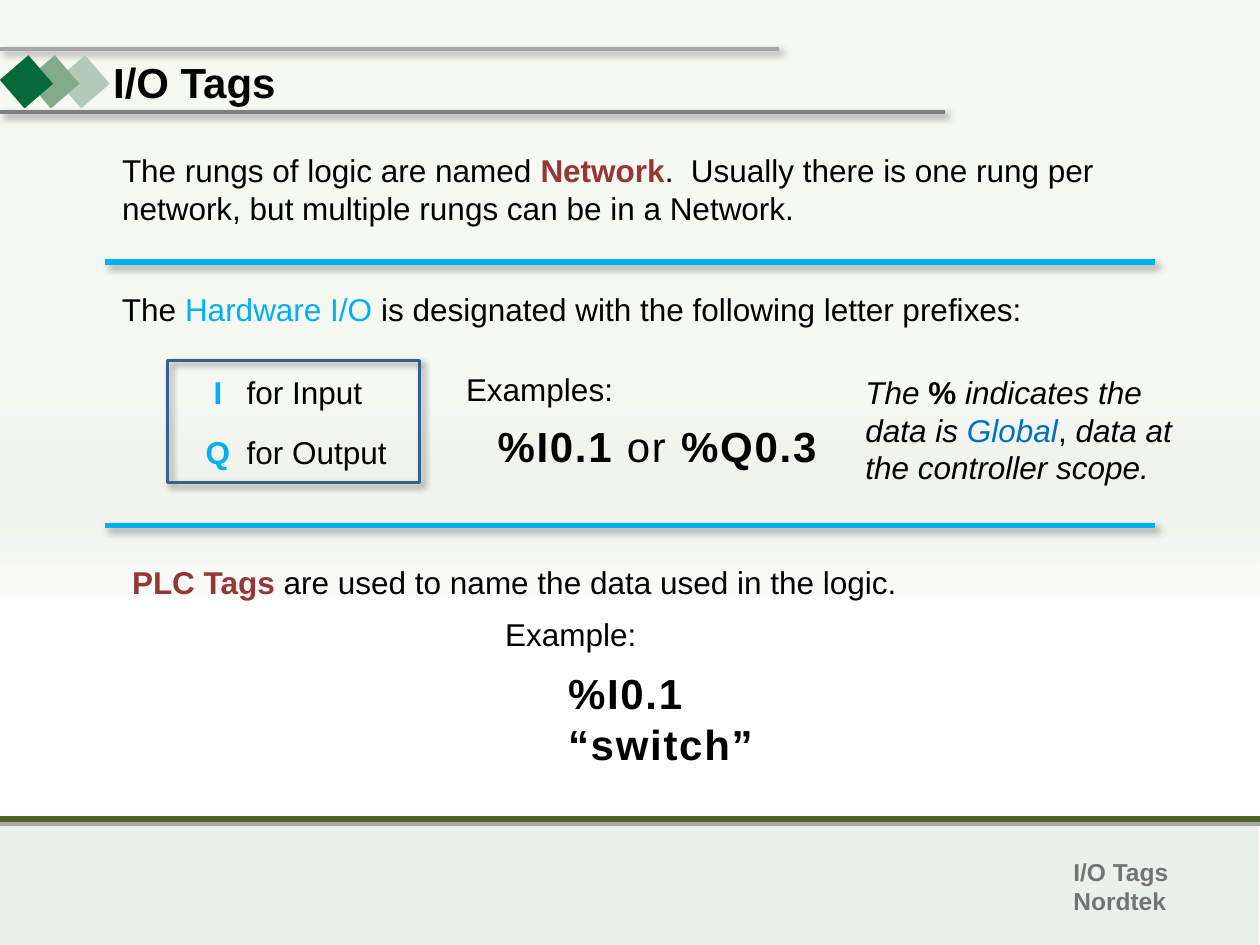
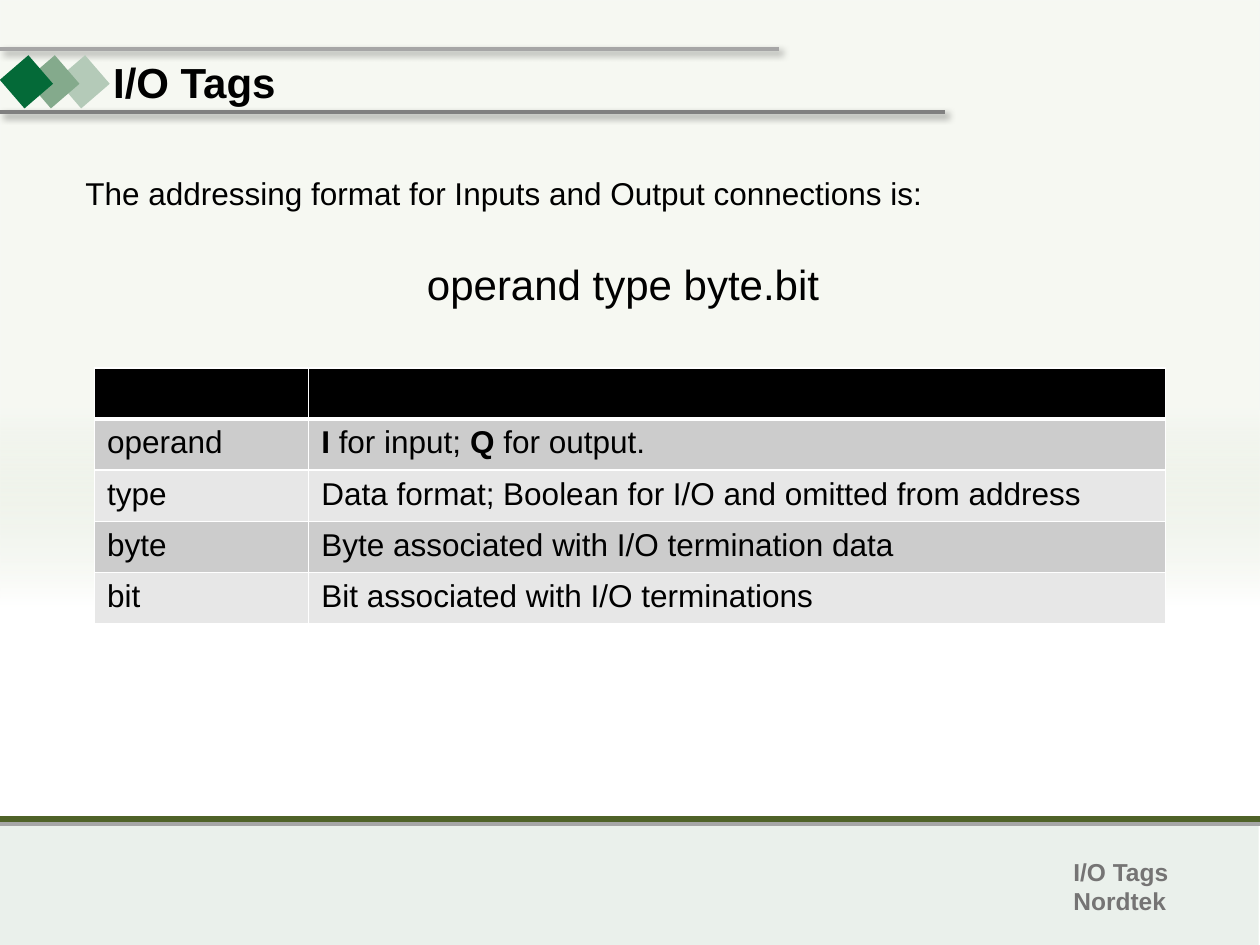
from collections import namedtuple

from lxml.etree import SubElement
from pptx import Presentation
from pptx.dml.color import RGBColor
from pptx.enum.shapes import MSO_CONNECTOR, MSO_SHAPE
from pptx.enum.text import MSO_AUTO_SIZE, PP_ALIGN
from pptx.oxml import parse_xml
from pptx.oxml.ns import nsdecls, qn
from pptx.util import Inches, Pt

Box = namedtuple("Box", "left top width height")
Span = namedtuple("Span", "text color bold italic", defaults=("000000", False, False))

FONT = "Arial"
BODY_SIZE, LARGE_SIZE, FOOTER_SIZE = 18, 24, 14
BLACK, WHITE = "000000", "FFFFFF"
CYAN, BLUE, MAROON, NAVY = "00B0F0", "0070C0", "953735", "3A5F8C"
LIGHT_GREY, MID_GREY, FOOTER_GREY = "A6A6A6", "808080", "757474"
OLIVE, FOOTER_FILL, SAGE = "4F6228", "EAF0EB", "D1DCC3"
DIAMONDS = [(0.51, "B4CAB8"), (0.27, "84AA8C"), (0.06, "046A38")]
ROW_FILLS = ["CCCCCC", "E7E7E7"]


def rgb(value):
    """Turn a hex string into a colour."""
    return RGBColor.from_string(value)


def place(box, left, top, width, height):
    """Return a box offset from the corner of another box."""
    return Box(box.left + left, box.top + top, width, height)


def add_shadow(effects):
    """Put a soft diagonal shadow into an effect list."""
    shadow = SubElement(effects, qn("a:outerShdw"), blurRad=str(Pt(4)), dist=str(Pt(3)),
                        dir="2700000", algn="tl", rotWithShape="0")
    color = SubElement(shadow, qn("a:srgbClr"), val=BLACK)
    SubElement(color, qn("a:alpha"), val="40000")


def add_rule(page, left, top, width, color, weight, shadow=False):
    """Draw a horizontal line."""
    rule = page.shapes.add_connector(MSO_CONNECTOR.STRAIGHT, Inches(left), Inches(top),
                                     Inches(left + width), Inches(top))
    rule.line.color.rgb = rgb(color)
    rule.line.width = Pt(weight)
    effects = SubElement(rule._element.spPr, qn("a:effectLst"))
    if shadow:
        add_shadow(effects)


def add_rectangle(page, box, fill=None):
    """Draw a rectangle without outline or shadow."""
    shape = page.shapes.add_shape(MSO_SHAPE.RECTANGLE, *map(Inches, box))
    shape.shadow.inherit = False
    shape.line.fill.background()
    if fill:
        shape.fill.solid()
        shape.fill.fore_color.rgb = rgb(fill)
    else:
        shape.fill.background()
    return shape


def write_spans(para, spans, size, spacing=0):
    """Add the runs of one paragraph."""
    for span in spans:
        run = para.add_run()
        run.text = span.text
        font = run.font
        font.name, font.size = FONT, Pt(size)
        font.bold, font.italic = span.bold, span.italic
        font.color.rgb = rgb(span.color)
        if spacing:
            run._r.get_or_add_rPr().set("spc", str(spacing * 100))


def add_text(page, box, paras, size=BODY_SIZE, wrap=False, spacing=0, gap=0, align=PP_ALIGN.LEFT):
    """Add a text box from lists of spans, one list a paragraph."""
    frame = page.shapes.add_textbox(*map(Inches, box)).text_frame
    frame.word_wrap = wrap
    frame.auto_size = MSO_AUTO_SIZE.SHAPE_TO_FIT_TEXT
    for index, spans in enumerate(paras):
        para = frame.add_paragraph() if index else frame.paragraphs[0]
        para.alignment = align
        if index and gap:
            para.space_before = Pt(gap)
        write_spans(para, spans, size, spacing)


def add_background(page, box):
    """Fill the area above the footer with a fading tint."""
    panel = add_rectangle(page, box)
    tint = f'<a:srgbClr val="{SAGE}"><a:alpha val="20000"/></a:srgbClr>'
    white = f'<a:srgbClr val="{WHITE}"/>'
    stops = "".join(f'<a:gs pos="{position * 1000}">{color}</a:gs>'
                    for position, color in [(50, tint), (74, white), (100, white)])
    gradient = parse_xml(f'<a:gradFill {nsdecls("a")} rotWithShape="1"><a:gsLst>{stops}</a:gsLst>'
                         '<a:lin ang="5400000" scaled="0"/></a:gradFill>')
    properties = panel._element.spPr
    properties.replace(properties.find(qn("a:noFill")), gradient)


def add_footer(page, box):
    """Draw the footer rules and its label."""
    add_rule(page, box.left, box.top + 0.04, box.width, LIGHT_GREY, 2.25)
    add_rule(page, box.left, box.top, box.width, OLIVE, 3)
    label = [[Span(line, FOOTER_GREY, True)] for line in ("I/O Tags", "Nordtek")]
    add_text(page, place(box, 8.42, 0.25, 1.01, 0.57), label, FOOTER_SIZE)


def add_title(page, box, title):
    """Draw the title between two rules beside the diamonds."""
    add_rule(page, box.left, box.top + 0.5, box.width, MID_GREY, 2.25, True)
    add_rule(page, box.left, box.top, 6.18, LIGHT_GREY, 2.25, True)
    for left, color in DIAMONDS:
        diamond = add_rectangle(page, place(box, left, 0.11, 0.3, 0.3), color)
        diamond.rotation = 49.2
    add_text(page, place(box, 0.8, 0.01, 1.5, 0.5), [[Span(title, bold=True)]], LARGE_SIZE)


def add_page(deck, title):
    """Add a page with the shared background, footer and title."""
    page = deck.slides.add_slide(deck.slide_layouts[6])
    add_rectangle(page, Box(-0.01, 6.5, 10, 1), FOOTER_FILL)
    add_background(page, Box(0, 0, 10, 6.5))
    add_footer(page, Box(0, 6.5, 10, 1))
    add_title(page, Box(0, 0.39, 7.5, 0.5), title)
    return page


def add_network(page, box):
    """Explain networks."""
    add_text(page, box, [[
        Span("The rungs of logic are named "), Span("Network", MAROON, True),
        Span(".  Usually there is one rung per network, but multiple rungs can be in a Network."),
    ]], wrap=True)


def add_prefixes(page, box):
    """Show the hardware prefixes, examples and scope note between two rules."""
    for top in (box.top, box.top + box.height):
        add_rule(page, box.left, top, box.width, CYAN, 3, True)
    add_text(page, place(box, 0.04, 0.17, 7.54, 0.4), [[
        Span("The "), Span("Hardware I/O ", CYAN),
        Span("is designated with the following letter prefixes:"),
    ]])
    frame = add_rectangle(page, place(box, 0.5, 0.78, 2, 0.97))
    frame.line.color.rgb = rgb(NAVY)
    frame.line.width = Pt(2)
    add_shadow(frame._element.spPr.find(qn("a:effectLst")))
    add_text(page, place(box, 0.7, 0.83, 0.4, 0.88),
             [[Span(letter, CYAN, True)] for letter in "IQ"], gap=13, align=PP_ALIGN.CENTER)
    add_text(page, place(box, 1.03, 0.83, 1.32, 0.88),
             [[Span("for Input")], [Span("for Output")]], gap=13)
    add_text(page, place(box, 2.77, 0.81, 1.38, 0.4), [[Span("Examples:")]])
    add_text(page, place(box, 3.02, 1.21, 2.81, 0.5), [[
        Span("%I0.1 ", bold=True), Span("or"), Span(" %Q0.3", bold=True),
    ]], LARGE_SIZE, spacing=1)
    add_text(page, place(box, 5.94, 0.83, 2.65, 1.01), [[
        Span("The ", italic=True), Span("% ", bold=True),
        Span("indicates the data is ", italic=True), Span("Global", BLUE, italic=True),
        Span(", "), Span("data at the controller scope.", italic=True),
    ]], wrap=True)


def add_tag_example(page, box):
    """Explain tags with an example."""
    add_text(page, place(box, 0, 0, 6.33, 0.4), [[
        Span("PLC Tags", MAROON, True), Span(" are used to name the data used in the logic."),
    ]])
    add_text(page, place(box, 2.96, 0.41, 1.25, 0.4), [[Span("Example:")]])
    add_text(page, place(box, 3.46, 0.83, 1.69, 0.91),
             [[Span(line, bold=True)] for line in ("%I0.1", "“switch”")], LARGE_SIZE, spacing=1)


def style_cell(cell, fill, top, bottom):
    """Give a cell its fill and white borders."""
    cell.fill.solid()
    cell.fill.fore_color.rgb = rgb(fill)
    properties = cell._tc.get_or_add_tcPr()
    for index, (side, weight) in enumerate([("L", 1), ("R", 1), ("T", top), ("B", bottom)]):
        properties.insert(index, parse_xml(
            f'<a:ln{side} {nsdecls("a")} w="{Pt(weight)}"><a:solidFill>'
            f'<a:srgbClr val="{WHITE}"/></a:solidFill></a:ln{side}>'))


def add_address_table(page, box):
    """Describe each part of an address."""
    rows = [
        ([], []),
        ([Span("operand")], [Span("I", bold=True), Span(" for input; "),
                             Span("Q", bold=True), Span(" for output.")]),
        ([Span("type")], [Span("Data format; Boolean for I/O and omitted from address")]),
        ([Span("byte")], [Span("Byte associated with I/O termination data")]),
        ([Span("bit")], [Span("Bit associated with I/O terminations")]),
    ]
    table = page.shapes.add_table(len(rows), 2, *map(Inches, box)).table
    for column, share in zip(table.columns, (0.2, 0.8)):
        column.width = Inches(box.width * share)
    for row, contents in enumerate(rows):
        fill = ROW_FILLS[(row - 1) % 2] if row else BLACK
        for column, spans in enumerate(contents):
            cell = table.cell(row, column)
            style_cell(cell, fill, 3 if row == 1 else 1, 1 if row else 3)
            write_spans(cell.text_frame.paragraphs[0], spans, BODY_SIZE)


def build_tags_page(deck):
    """Build the page on networks, prefixes and tags."""
    page = add_page(deck, "I/O Tags")
    add_network(page, Box(0.87, 1.15, 8.29, 0.71))
    add_prefixes(page, Box(0.83, 2.08, 8.34, 2.09))
    add_tag_example(page, Box(0.95, 4.42, 6.33, 1.74))


def build_address_page(deck):
    """Build the page on the addressing format."""
    page = add_page(deck, "I/O Tags")
    add_text(page, Box(0.58, 1.33, 6.91, 0.4),
             [[Span("The addressing format for Inputs and Output connections is:")]])
    add_text(page, Box(3.29, 2, 3.42, 0.5), [[Span("operand type byte.bit")]], LARGE_SIZE)
    add_address_table(page, Box(0.75, 2.92, 8.5, 2.03))


def main():
    """Build and save the deck."""
    deck = Presentation()
    deck.slide_width, deck.slide_height = Inches(10), Inches(7.5)
    build_tags_page(deck)
    build_address_page(deck)
    deck.save("out.pptx")


if __name__ == "__main__":
    main()
